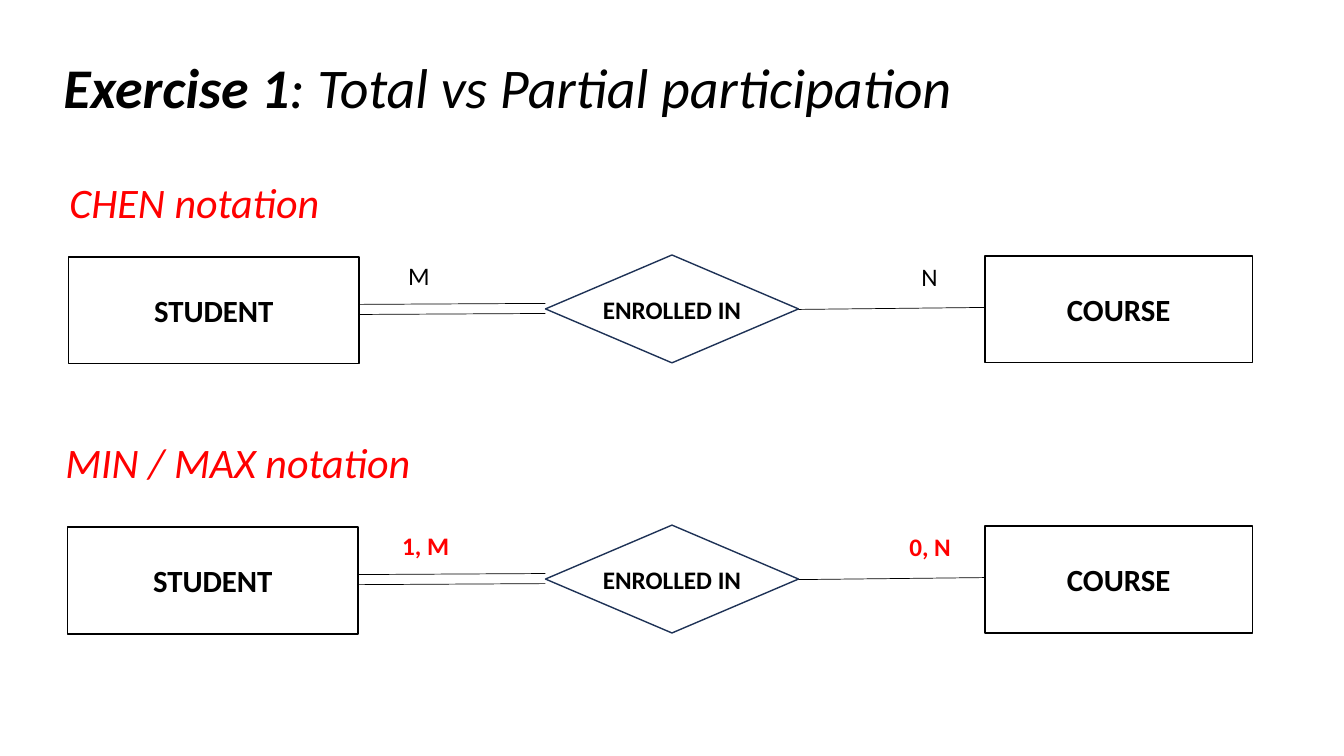
"""Build a slide comparing total and partial participation in two ER notations."""
from dataclasses import dataclass

from lxml.etree import SubElement
from pptx import Presentation
from pptx.dml.color import RGBColor
from pptx.enum.shapes import MSO_CONNECTOR, MSO_SHAPE
from pptx.enum.text import MSO_ANCHOR, MSO_AUTO_SIZE, PP_ALIGN
from pptx.oxml.ns import qn
from pptx.shapes.autoshape import Shape
from pptx.slide import Slide
from pptx.util import Inches, Pt

BLACK = "000000"
WHITE = "FFFFFF"
RED = "FF0000"
NAVY = "1E3256"
FONT = "Calibri"

Box = tuple[float, float, float, float]


@dataclass(frozen=True)
class Cardinality:
    text: str
    left: float
    width: float


@dataclass(frozen=True)
class Diagram:
    heading: str
    heading_left: float
    heading_top: float
    top: float
    student_left: float
    student_side: Cardinality
    course_side: Cardinality
    cardinality_color: str
    cardinality_bold: bool


DIAGRAMS = (
    Diagram("CHEN notation", 0.59, 1.65, 2.53, 0.68,
            Cardinality("M", 3.95, 0.42), Cardinality("N", 9.04, 0.36), BLACK, False),
    Diagram("MIN / MAX notation", 0.55, 4.23, 5.21, 0.67,
            Cardinality("1, M", 3.89, 0.67), Cardinality("0, N", 8.92, 0.61), RED, True),
)


def color(value: str) -> RGBColor:
    return RGBColor.from_string(value)


def write(shape: Shape, text: str, *, size: float, bold: bool = False,
          italic: bool = False, text_color: str = BLACK) -> None:
    run = shape.text_frame.paragraphs[0].add_run()
    run.text = text
    run.font.name = FONT
    run.font.size = Pt(size)
    run.font.bold = bold
    run.font.italic = italic
    run.font.color.rgb = color(text_color)


def add_heading(slide: Slide, box: Box) -> Shape:
    shape = slide.shapes.add_textbox(*map(Inches, box))
    shape.text_frame.word_wrap = True
    shape.text_frame.vertical_anchor = MSO_ANCHOR.BOTTOM
    shape.text_frame.paragraphs[0].line_spacing = 0.9
    return shape


def add_label(slide: Slide, text: str, box: Box, *, bold: bool,
              text_color: str = BLACK) -> None:
    shape = slide.shapes.add_textbox(*map(Inches, box))
    shape.text_frame.word_wrap = False
    shape.text_frame.auto_size = MSO_AUTO_SIZE.SHAPE_TO_FIT_TEXT
    write(shape, text, size=18, bold=bold, text_color=text_color)


def add_outlined(slide: Slide, kind: MSO_SHAPE, box: Box, line_color: str) -> Shape:
    shape = slide.shapes.add_shape(kind, *map(Inches, box))
    shape.shadow.inherit = False
    shape.line.color.rgb = color(line_color)
    shape.line.width = Pt(1)
    return shape


def add_entity(slide: Slide, text: str, box: Box) -> None:
    shape = add_outlined(slide, MSO_SHAPE.RECTANGLE, box, BLACK)
    shape.fill.solid()
    shape.fill.fore_color.rgb = color(WHITE)
    shape.text_frame.vertical_anchor = MSO_ANCHOR.MIDDLE
    shape.text_frame.paragraphs[0].alignment = PP_ALIGN.CENTER
    write(shape, text, size=22, bold=True)


def add_line(slide: Slide, start: tuple[float, float], end: tuple[float, float]) -> None:
    connector = slide.shapes.add_connector(
        MSO_CONNECTOR.STRAIGHT, *map(Inches, (*start, *end)))
    connector.line.color.rgb = color(BLACK)
    connector.line.width = Pt(0.5)
    SubElement(connector.element.spPr, qn("a:effectLst"))


def add_diagram(slide: Slide, diagram: Diagram) -> None:
    top = diagram.top
    heading = add_heading(
        slide, (diagram.heading_left, diagram.heading_top, 12.46, 0.66))
    write(heading, diagram.heading, size=30, italic=True, text_color=RED)

    add_entity(slide, "STUDENT", (diagram.student_left, top + 0.02, 2.88, 1.06))
    add_entity(slide, "COURSE", (9.77, top + 0.01, 2.65, 1.06))
    relationship = add_outlined(
        slide, MSO_SHAPE.FLOWCHART_DECISION, (5.41, top, 2.51, 1.07), NAVY)
    relationship.fill.background()
    add_label(slide, "ENROLLED IN", (5.88, top + 0.34, 1.59, 0.4), bold=True)

    for offset in (0.49, 0.59):
        add_line(slide, (3.56, top + offset), (5.41, top + offset - 0.01))
    add_line(slide, (7.92, top + 0.54), (9.77, top + 0.52))

    for cardinality, offset in ((diagram.student_side, 0), (diagram.course_side, 0.01)):
        add_label(slide, cardinality.text,
                  (cardinality.left, top + offset, cardinality.width, 0.4),
                  bold=diagram.cardinality_bold, text_color=diagram.cardinality_color)


def main() -> None:
    presentation = Presentation()
    presentation.slide_width = Inches(13.33)
    presentation.slide_height = Inches(7.5)
    slide = presentation.slides.add_slide(presentation.slide_layouts[6])

    title = add_heading(slide, (0.53, 0.19, 12.46, 1.06))
    write(title, "Exercise 1", size=40, bold=True, italic=True)
    write(title, ": Total vs Partial participation", size=40, italic=True)

    for diagram in DIAGRAMS:
        add_diagram(slide, diagram)
    presentation.save("out.pptx")


if __name__ == "__main__":
    main()
